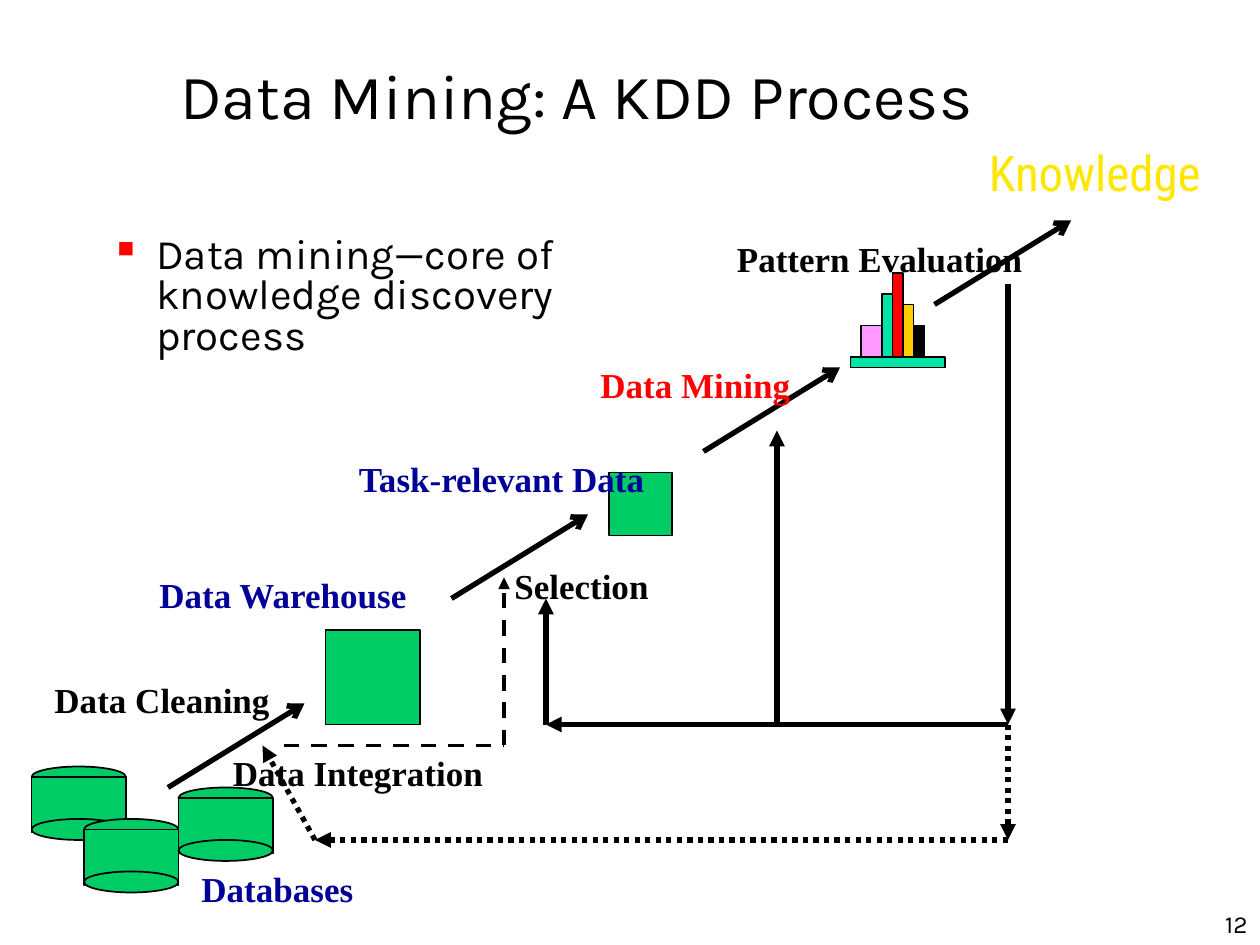
from lxml import etree
from pptx import Presentation
from pptx.dml.color import RGBColor
from pptx.enum.dml import MSO_LINE as DASH
from pptx.enum.shapes import MSO_CONNECTOR as CONN, MSO_SHAPE as SHAPE
from pptx.enum.text import MSO_ANCHOR as ANCHOR, MSO_AUTO_SIZE as FIT, PP_ALIGN as ALIGN
from pptx.oxml.ns import qn
from pptx.util import Pt

PX = 7620
COLORS = {
    "black": "000000", "red": "FF0000", "navy": "000099", "green": "00CC66",
    "mint": "00E4A8", "gold": "FFCF01", "pink": "FF99FF", "yellow": "FFE701",
}


def px(*values):
    return [v * PX for v in values]


def rgb(name):
    return RGBColor.from_string(COLORS[name])


def add_text(s, text, box, size, font="Karla", color="black", bold=False,
             wrap=True, anchor=ANCHOR.TOP, align=ALIGN.LEFT):
    tf = s.shapes.add_textbox(*px(*box)).text_frame
    tf.word_wrap = wrap
    tf.vertical_anchor = anchor
    tf.text = text
    p = tf.paragraphs[0]
    p.alignment = align
    f = p.runs[0].font
    f.name, f.size, f.bold = font, Pt(size), bold
    f.color.rgb = rgb(color)
    return tf


def add_label(s, text, x, y, w, color="black", wrap=False):
    tf = add_text(s, text, (x, y, w, 53), 20, "Times New Roman", color, True, wrap)
    tf.auto_size = FIT.SHAPE_TO_FIT_TEXT


def add_bullet(s, text, box):
    p = add_text(s, text, box, 24).paragraphs[0]
    p.line_spacing = 0.8
    p.space_before = Pt(6)
    pPr = p._p.get_or_add_pPr()
    pPr.set("marL", str(97 * PX))
    pPr.set("indent", str(-37 * PX))
    clr = etree.SubElement(pPr, qn("a:buClr"))
    etree.SubElement(clr, qn("a:srgbClr"), val=COLORS["red"])
    etree.SubElement(pPr, qn("a:buSzPct"), val="55000")
    etree.SubElement(pPr, qn("a:buChar"), char="■")


def add_block(s, x, y, w, h, color="green", kind=SHAPE.RECTANGLE):
    sp = s.shapes.add_shape(kind, *px(x, y, w, h))
    sp.shadow.inherit = False
    sp.fill.solid()
    sp.fill.fore_color.rgb = rgb(color)
    sp.line.color.rgb = rgb("black")
    sp.line.width = Pt(1)


def add_database(s, x, y):
    add_block(s, x, y, 90, 20, kind=SHAPE.OVAL)
    add_block(s, x, y + 10, 90, 53)
    add_block(s, x, y + 50, 90, 20, kind=SHAPE.OVAL)


def add_line(s, start, end, tip="triangle", width=3, dash=None):
    c = s.shapes.add_connector(CONN.STRAIGHT, *px(*start, *end))
    c.line.color.rgb = rgb("black")
    c.line.width = Pt(width)
    if dash:
        c.line.dash_style = dash
    if tip:
        etree.SubElement(c.line._get_or_add_ln(), qn("a:tailEnd"), type=tip)
    etree.SubElement(c._element.spPr, qn("a:effectLst"))


def add_path(s, points, **style):
    for start, end in zip(points, points[1:]):
        add_line(s, start, end, **style)


def main():
    prs = Presentation()
    prs.slide_width, prs.slide_height = px(1200, 900)
    s = prs.slides.add_slide(prs.slide_layouts[6])

    add_text(s, "Data Mining: A KDD Process", (160, 30, 1040, 120), 36,
             anchor=ANCHOR.MIDDLE)
    add_bullet(s, "Data mining—core of knowledge discovery process",
               (40, 220, 580, 140))

    for x, y in [(160, 750), (890, 290), (670, 430), (430, 570)]:
        add_line(s, (x, y), (x + 130, y - 80), tip="arrow")

    for x, y in [(30, 730), (80, 780), (170, 750)]:
        add_database(s, x, y)

    add_label(s, "Data Cleaning", 40, 640, 232)
    add_label(s, "Data Integration", 210, 710, 266)
    add_label(s, "Databases", 180, 820, 190, "navy", wrap=True)
    add_label(s, "Data Warehouse", 140, 540, 262, "navy", wrap=True)

    add_block(s, 310, 600, 90, 90)
    add_block(s, 580, 450, 60, 60)

    for x, w, h, color in [(850, 10, 80, "red"), (860, 10, 50, "gold"),
                           (840, 10, 60, "mint"), (870, 10, 30, "black"),
                           (820, 20, 30, "pink")]:
        add_block(s, x, 340 - h, w, h, color)
    add_block(s, 810, 340, 90, 10, "mint")

    add_text(s, "Knowledge", (930, 130, 232, 80), 28, "Roboto Condensed",
             "yellow", wrap=False)
    add_label(s, "Task-relevant Data", 330, 430, 302, "navy")
    add_label(s, "Selection", 478, 532, 160)
    add_label(s, "Data Mining", 560, 340, 210, "red")
    add_label(s, "Pattern Evaluation", 690, 220, 304)

    add_line(s, (740, 690), (740, 410))
    add_path(s, [(960, 270), (960, 690), (520, 690), (520, 570)])
    add_path(s, [(960, 690), (960, 800), (300, 800), (250, 710)],
             dash=DASH.ROUND_DOT)
    add_line(s, (270, 710), (480, 710), tip=None, width=2.25, dash=DASH.DASH)
    add_line(s, (480, 710), (480, 550), width=2.25, dash=DASH.DASH)

    add_text(s, "12", (950, 840, 250, 60), 14, anchor=ANCHOR.BOTTOM,
             align=ALIGN.RIGHT)
    prs.save("out.pptx")


if __name__ == "__main__":
    main()
